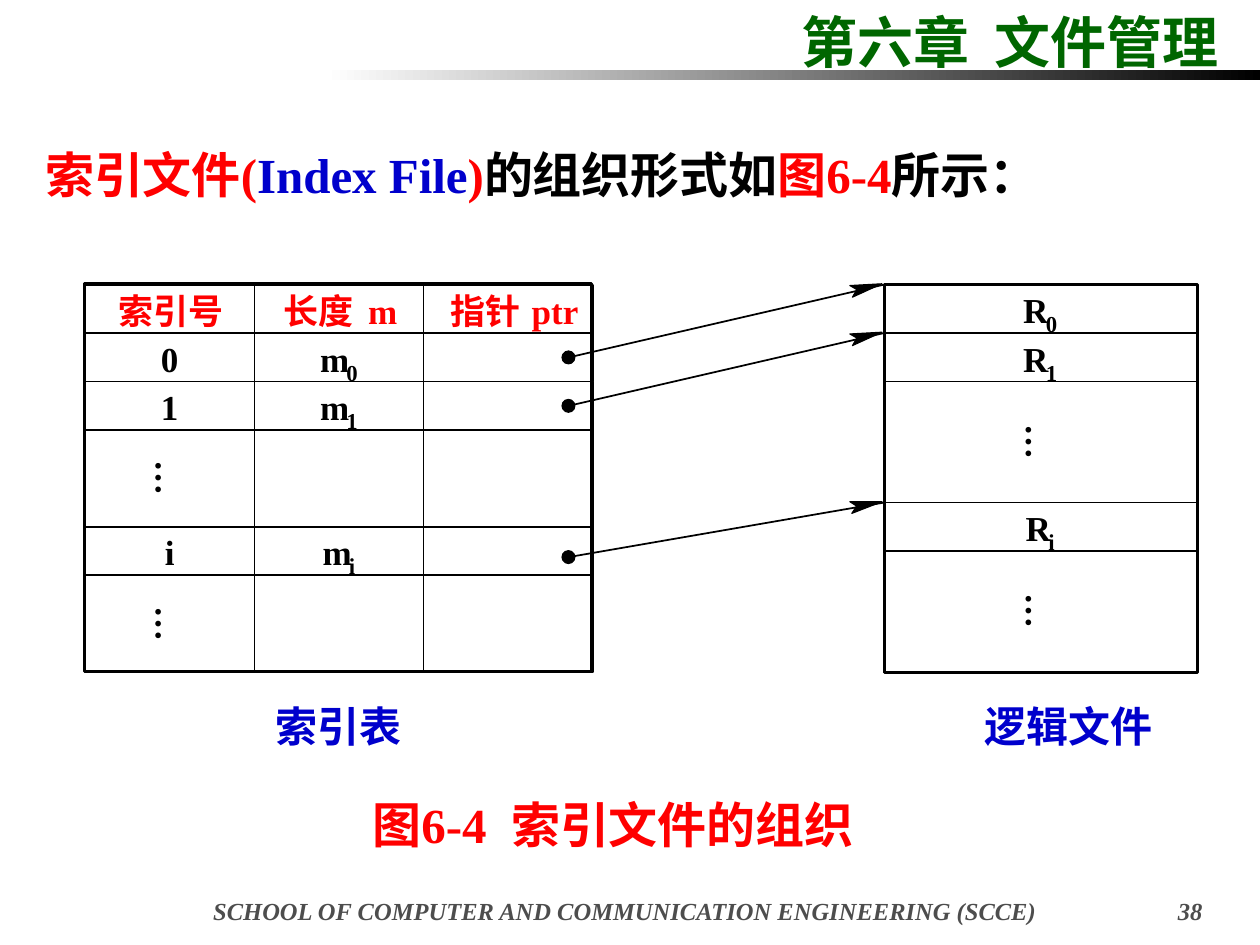
from itertools import accumulate
from math import atan2, cos, sin

from lxml.etree import SubElement
from pptx import Presentation
from pptx.dml.color import RGBColor
from pptx.enum.shapes import MSO_CONNECTOR, MSO_SHAPE
from pptx.enum.text import MSO_ANCHOR, MSO_AUTO_SIZE, PP_ALIGN
from pptx.oxml.ns import qn
from pptx.util import Cm, Pt

COLORS = {"black": "000000", "white": "FFFFFF", "red": "FF0000",
          "blue": "0000CC", "green": "006600", "gray": "4D4D4D"}
LATIN, CHINESE = "Times New Roman", "Noto Sans CJK SC"
TOP, UNIT = 5.74, 7.81 / 8
INDEX_LEFT, INDEX_COLUMN = 1.72, 3.41
FILE_LEFT, FILE_WIDTH = 17.81, 6.32
INDEX_UNITS = [1, 1, 1, 2, 1, 2]
FILE_UNITS = [1, 1, 2.5, 1, 2.5]
INDEX_LABELS = [None, ("0", "m", "0"), ("1", "m", "1"), ("…", "", ""),
                ("i", "m", "i"), ("…", "", "")]
FILE_LABELS = [("R", "0"), ("R", "1"), ("…", ""), ("R", "i"), ("…", "")]
LABEL_WIDTHS = {"0": 0.36, "1": 0.36, "i": 0.2, "m": 0.58, "R": 0.51, "…": 0.71}
SUBSCRIPT_WIDTHS = {"0": 0.23, "1": 0.23, "i": 0.13}
HEADERS = [("索引号", 2.39, 2.13, CHINESE), ("长度", 5.72, 1.42, CHINESE),
           ("m", 7.42, 0.58, LATIN), ("指针", 9.09, 1.57, CHINESE),
           ("ptr", 10.72, 0.94, LATIN)]
POINTERS = [(1, 0.49, 0), (2, 0.49, 1), (4, 0.61, 3)]


def color(name):
    """Return the named colour."""
    return RGBColor.from_string(COLORS[name])


def row_tops(units):
    """Return the top of every row and the bottom of the last one."""
    return [TOP + UNIT * total for total in accumulate(units, initial=0)]


def set_values(target, values):
    """Set attributes of an object from a dict."""
    for name, value in values.items():
        setattr(target, name, value)


def fill_frame(frame, runs, size, align=PP_ALIGN.LEFT, inset=(0, 0), wrap=False,
               italic=False):
    """Write (text, font, colour) runs into a text frame."""
    horizontal, vertical = map(Cm, inset)
    set_values(frame, {"margin_left": horizontal, "margin_right": horizontal,
                       "margin_top": vertical, "margin_bottom": vertical,
                       "word_wrap": wrap, "auto_size": MSO_AUTO_SIZE.NONE,
                       "vertical_anchor": MSO_ANCHOR.TOP})
    paragraph = frame.paragraphs[0]
    paragraph.alignment = align
    for text, font_name, color_name in runs:
        run = paragraph.add_run()
        run.text = text
        set_values(run.font, {"name": font_name, "size": Pt(size),
                              "bold": True, "italic": italic})
        run.font.color.rgb = color(color_name)
        SubElement(run.font._element, qn("a:ea"), typeface=CHINESE)


def add_text(slide, box, runs, size, **options):
    """Add a text box and return it."""
    shape = slide.shapes.add_textbox(*map(Cm, box))
    fill_frame(shape.text_frame, runs, size, **options)
    return shape


def paint(shape, fill, line_width):
    """Give a shape a plain fill and a black outline."""
    shape.shadow.inherit = False
    if fill:
        shape.fill.solid()
        shape.fill.fore_color.rgb = color(fill)
    else:
        shape.fill.background()
    shape.line.color.rgb = color("black")
    shape.line.width = Pt(line_width)


def add_block(slide, box, fill="white", line_width=1, kind=MSO_SHAPE.RECTANGLE):
    """Add a preset shape with an outline."""
    paint(slide.shapes.add_shape(kind, *map(Cm, box)), fill, line_width)


def add_label(slide, center, top, height, text, subscript=""):
    """Centre a label with an optional subscript, or a vertical ellipsis, in a cell."""
    width = LABEL_WIDTHS[text]
    tail = SUBSCRIPT_WIDTHS[subscript] - 0.05 if subscript else 0
    left = center - (width + tail) / 2
    label_top = top + (height - 0.84) / 2 if text == "…" else top + 0.08
    shape = add_text(slide, (left, label_top, width, 0.84),
                     [(text, LATIN, "black")], 20)
    if text == "…":
        shape.rotation = 90
    if subscript:
        add_text(slide, (left + width - 0.05, top + 0.51, tail + 0.05, 0.56),
                 [(subscript, LATIN, "black")], 13)


def add_index_table(slide):
    """Draw the index table with its header and rows."""
    tops = row_tops(INDEX_UNITS)
    for top, units, labels in zip(tops, INDEX_UNITS, INDEX_LABELS):
        height = units * UNIT
        for column in range(3):
            left = INDEX_LEFT + column * INDEX_COLUMN
            add_block(slide, (left, top, INDEX_COLUMN, height))
        if labels:
            number, length, subscript = labels
            center = INDEX_LEFT + INDEX_COLUMN / 2
            add_label(slide, center, top, height, number)
            if length:
                add_label(slide, center + INDEX_COLUMN, top, height, length, subscript)
    for text, left, width, font_name in HEADERS:
        add_text(slide, (left, TOP + 0.09, width, 0.84), [(text, font_name, "red")], 20)
    add_block(slide, (INDEX_LEFT - 0.02, TOP - 0.02, 3 * INDEX_COLUMN, 8 * UNIT),
              None, 1.75)


def add_logical_file(slide):
    """Draw the logical file as a column of records."""
    for top, units, label in zip(row_tops(FILE_UNITS), FILE_UNITS, FILE_LABELS):
        height = units * UNIT
        add_block(slide, (FILE_LEFT, top, FILE_WIDTH, height))
        add_label(slide, FILE_LEFT + FILE_WIDTH / 2, top, height, *label)
    add_block(slide, (FILE_LEFT + 0.02, TOP, FILE_WIDTH, 8 * UNIT), None, 1.75)


def add_pointer(slide, start, end):
    """Draw a dot, a line and an arrowhead from an index row to a record."""
    add_block(slide, (start[0] - 0.13, start[1] - 0.13, 0.26, 0.26), "black", 0.62,
              MSO_SHAPE.OVAL)
    connector = slide.shapes.add_connector(MSO_CONNECTOR.STRAIGHT,
                                           *map(Cm, (*start, *end)))
    connector.line.color.rgb = color("black")
    connector.line.width = Pt(1)
    SubElement(connector._element.spPr, qn("a:effectLst"))
    angle = atan2(end[1] - start[1], end[0] - start[0])
    points = [(Cm(end[0] - 0.03 + along * cos(angle) - across * sin(angle)),
               Cm(end[1] - 0.02 + along * sin(angle) + across * cos(angle)))
              for along, across in ((0, 0), (-0.64, -0.11), (-0.52, 0), (-0.64, 0.13))]
    builder = slide.shapes.build_freeform(*points[0])
    builder.add_line_segments(points[1:], close=True)
    paint(builder.convert_to_shape(), "black", 0.62)


def add_heading(slide):
    """Format the chapter title and add the gradient bar below it."""
    title = slide.shapes.title
    set_values(title, {"left": Cm(15.9), "top": Cm(0.03),
                       "width": Cm(9.14), "height": Cm(1.63)})
    fill_frame(title.text_frame, [("第六章  文件管理", LATIN, "green")], 32,
               inset=(0.25, 0.13), wrap=True)
    bar = slide.shapes.add_shape(MSO_SHAPE.RECTANGLE,
                                 *map(Cm, (6.55, 1.42, 18.85, 0.2)))
    bar.shadow.inherit = False
    bar.line.fill.background()
    bar.fill.gradient()
    bar.fill.gradient_angle = 180
    for stop, name in zip(bar.fill.gradient_stops, ("black", "white")):
        stop.color.rgb = color(name)


def main():
    """Build the slide and save it."""
    presentation = Presentation()
    set_values(presentation, {"slide_width": Cm(25.4), "slide_height": Cm(19.05)})
    slide = presentation.slides.add_slide(presentation.slide_layouts[5])
    add_heading(slide)
    inset = (0.25, 0.13)
    add_text(slide, (0.66, 2.79, 21.69, 1.45),
             [("索引文件(", LATIN, "red"), ("Index File", LATIN, "blue"),
              (")", LATIN, "red"), ("的组织形式如", CHINESE, "black"),
              ("图6-4", LATIN, "red"), ("所", LATIN, "black"),
              ("示：", CHINESE, "black")], 28, inset=inset)
    add_index_table(slide)
    add_logical_file(slide)
    index_tops, file_tops = row_tops(INDEX_UNITS), row_tops(FILE_UNITS)
    for index_row, offset, file_row in POINTERS:
        add_pointer(slide, (11.46, index_tops[index_row] + offset),
                    (FILE_LEFT, file_tops[file_row]))
    for text, left, width in (("索引表", 5.56, 2.54), ("逻辑文件", 19.84, 3.38)):
        add_text(slide, (left, 14.12, width, 1.02), [(text, CHINESE, "blue")], 24)
    add_text(slide, (7.26, 15.88, 10.87, 1.45),
             [("图6-4  索引文件的组织", LATIN, "red")], 28, inset=inset)
    for text, left, width, align in (
            ("SCHOOL OF COMPUTER AND COMMUNICATION ENGINEERING (SCCE)",
             3.1, 19, PP_ALIGN.CENTER), ("38", 22.1, 2.39, PP_ALIGN.RIGHT)):
        add_text(slide, (left, 17.93, width, 0.64), [(text, LATIN, "gray")], 14,
                 align=align, inset=inset, wrap=True, italic=True)
    presentation.save("out.pptx")


if __name__ == "__main__":
    main()
